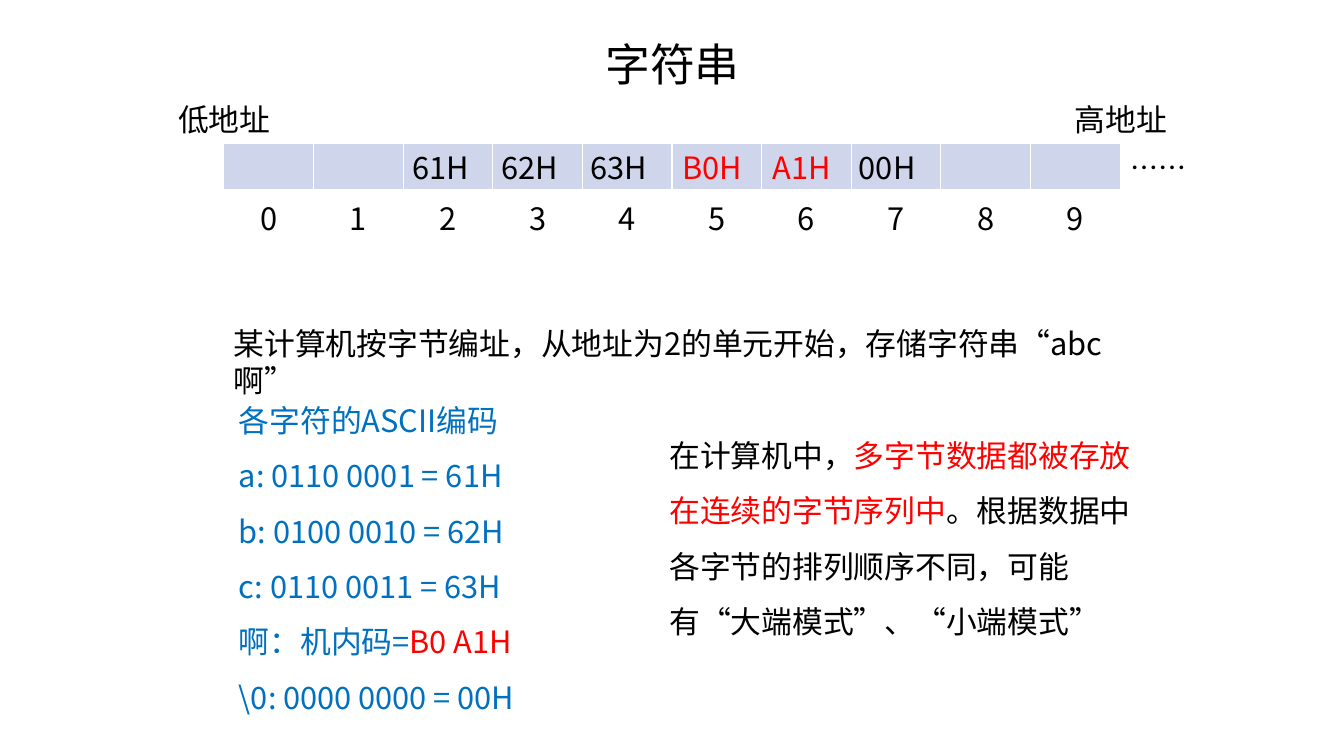
from lxml.etree import SubElement
from pptx import Presentation
from pptx.dml.color import RGBColor
from pptx.enum.text import MSO_ANCHOR as Anchor, MSO_AUTO_SIZE as AutoSize, PP_ALIGN as Align
from pptx.oxml import parse_xml
from pptx.oxml.ns import nsdecls, qn
from pptx.util import Pt

PX = 9144
FONT = "Noto Sans CJK SC"
BLACK, RED, BLUE = "000000", "FF0000", "0070C0"


def color(value):
    return RGBColor.from_string(value)


def write(frame, *lines, size=22, fill=BLACK, align=Align.LEFT, spacing=None, anchor=Anchor.TOP):
    frame.word_wrap = True
    frame.vertical_anchor = anchor
    for index, line in enumerate(lines):
        para = frame.paragraphs[0] if index == 0 else frame.add_paragraph()
        para.alignment = align
        para.space_before = Pt(0)
        if spacing:
            para.line_spacing = spacing
        for text, tone in [(line, fill)] if isinstance(line, str) else line:
            span = para.add_run()
            span.text = text
            span.font.size = Pt(size)
            span.font.name = FONT
            span.font.color.rgb = color(tone)
            SubElement(span.font._element, qn("a:ea")).set("typeface", FONT)


deck = Presentation()
deck.slide_width, deck.slide_height = 1333 * PX, 750 * PX
page = deck.slides.add_slide(deck.slide_layouts[1])

title, codes = page.placeholders
for box, place in [(title, (397, 31, 540, 64)), (codes, (227, 375, 325, 337))]:
    box.left, box.top, box.width, box.height = [length * PX for length in place]
    box.text_frame.auto_size = AutoSize.NONE

write(title.text_frame, "字符串", size=32, align=Align.CENTER, anchor=Anchor.MIDDLE)
write(
    codes.text_frame,
    "各字符的ASCII编码",
    "a: 0110 0001 = 61H",
    "b: 0100 0010 = 62H",
    "c: 0110 0011 = 63H",
    [("啊：机内码=", BLUE), ("B0 A1H", RED)],
    "\\0: 0000 0000 = 00H",
    fill=BLUE,
    spacing=1.5,
)
for para in codes.text_frame.paragraphs:
    properties = para._p.get_or_add_pPr()
    properties.set("marL", "0")
    properties.set("indent", "0")
    SubElement(properties, qn("a:buNone"))

memory = page.shapes.add_table(2, 10, 222 * PX, 142 * PX, 889 * PX, 93 * PX).table
memory.first_row = memory.horz_banding = False
for address in range(10):
    unit, label = memory.cell(0, address), memory.cell(1, address)
    unit.fill.solid()
    unit.fill.fore_color.rgb = color("CFD5EA")
    label.fill.background()
    write(label.text_frame, str(address), align=Align.CENTER)
    label.vertical_anchor = Anchor.MIDDLE
    for cell in (unit, label):
        for index, side in enumerate("LRTB"):
            cell._tc.get_or_add_tcPr().insert(index, parse_xml(
                f'<a:ln{side} {nsdecls("a")} w="12700"><a:solidFill>'
                f'<a:srgbClr val="FFFFFF"/></a:solidFill></a:ln{side}>'))

labels = [
    ("低地址", (167, 95, 120, 47), {}),
    ("高地址", (1056, 95, 120, 47), {}),
    ("……", (1111, 144, 110, 44), {"size": 20}),
    ("某计算机按字节编址，从地址为2的单元开始，存储字符串“abc啊”", (222, 317, 937, 47), {}),
    ([("在计算机中，", BLACK),
      ("多字节数据都被存放在连续的字节序列中", RED),
      ("。根据数据中各字节的排列顺序不同，可能有“大端模式”、“小端模式”", BLACK)],
     (654, 410, 500, 226), {"spacing": 1.5}),
]
for index, value in enumerate(["61H", "62H", "63H", "B0H", "A1H", "00H"]):
    multibyte = value in ("B0H", "A1H")
    place = (397 + index * 443 // 5, 143, 89 if multibyte else 80, 47)
    labels.append((value, place, {"fill": RED if multibyte else BLACK, "align": Align.CENTER}))

for text, place, style in labels:
    box = page.shapes.add_textbox(*[length * PX for length in place])
    write(box.text_frame, text, **style)

deck.save("out.pptx")
